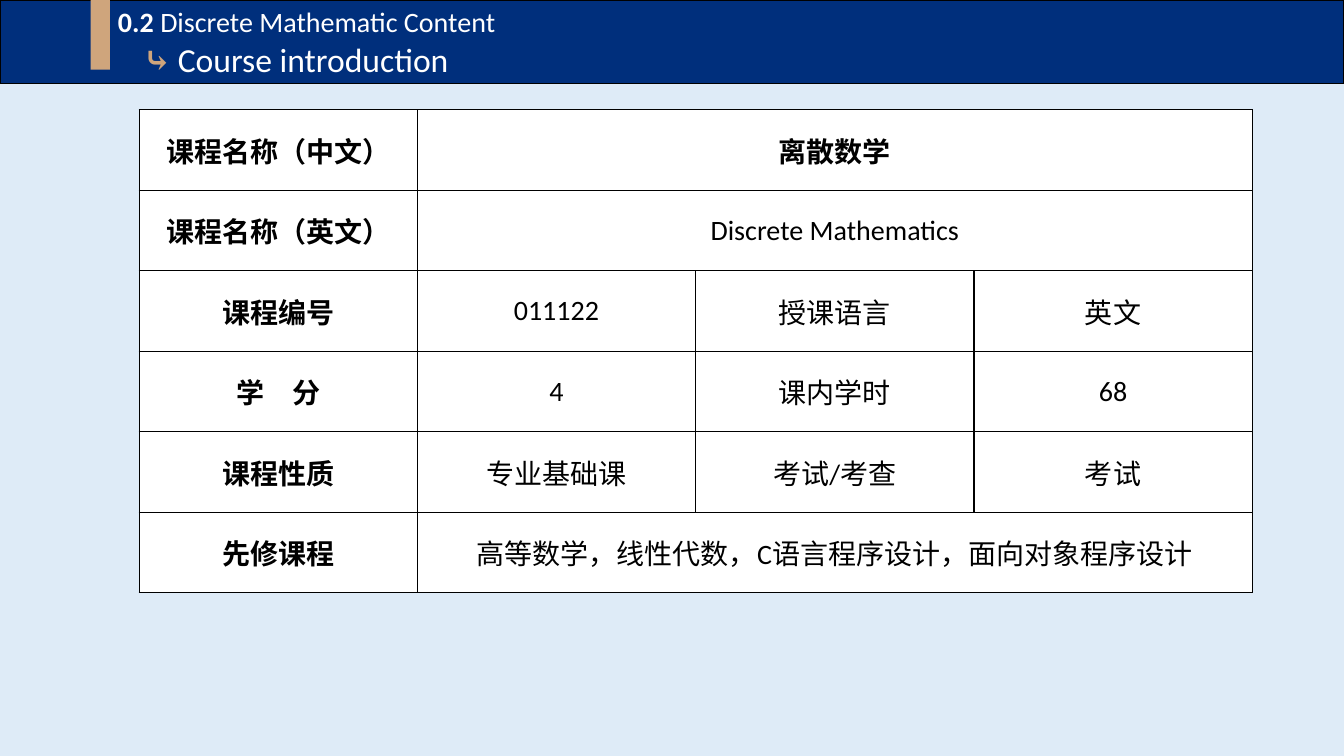
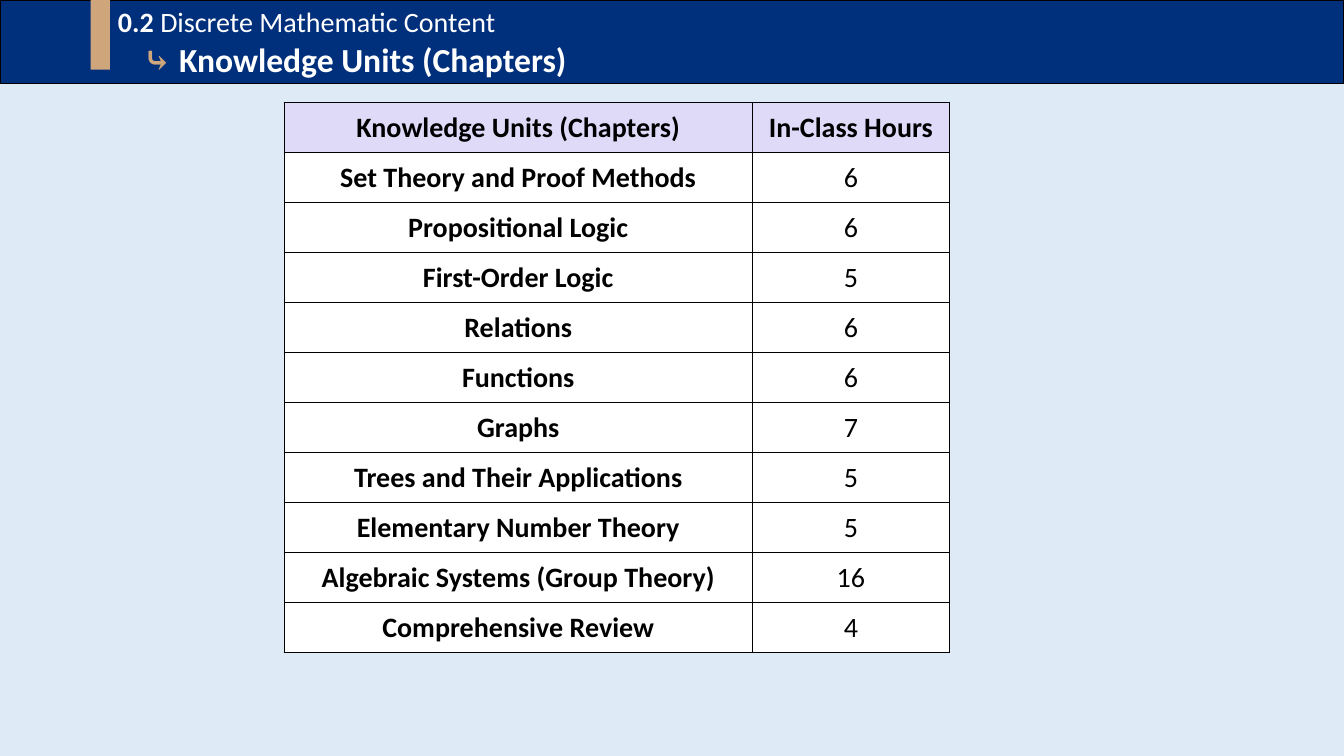
import lxml.etree
import pptx
import pptx.dml.color
import pptx.enum.text
import pptx.oxml.ns
import pptx.util
from pptx.util import Inches

NAVY, TAN, PALE_BLUE, LILAC = "002F7C", "CFA57C", "DEEBF7", "DEDAF8"
WHITE, BLACK = "FFFFFF", "000000"

COURSE_ROWS = [
    ["课程名称（中文）", "离散数学"],
    ["课程名称（英文）", "Discrete Mathematics"],
    ["课程编号", "011122", "授课语言", "英文"],
    ["学　分", "4", "课内学时", "68"],
    ["课程性质", "专业基础课", "考试/考查", "考试"],
    ["先修课程", "高等数学，线性代数，C语言程序设计，面向对象程序设计"],
]

CHAPTER_ROWS = [
    ["Knowledge Units (Chapters)", "In-Class Hours"],
    ["Set Theory and Proof Methods", "6"],
    ["Propositional Logic", "6"],
    ["First-Order Logic", "5"],
    ["Relations", "6"],
    ["Functions", "6"],
    ["Graphs", "7"],
    ["Trees and Their Applications", "5"],
    ["Elementary Number Theory", "5"],
    ["Algebraic Systems (Group Theory)", "16"],
    ["Comprehensive Review", "4"],
]


def color(value):
    return pptx.dml.color.RGBColor.from_string(value)


def paint(target, value):
    target.fill.solid()
    target.fill.fore_color.rgb = color(value)


def write(para, text, size=20, bold=False, fill=BLACK):
    span = para.add_run()
    span.text = text
    span.font.name = "Calibri"
    span.font.size = pptx.util.Pt(size)
    span.font.bold = bold
    span.font.color.rgb = color(fill)


def indent(para, left):
    para.alignment = pptx.enum.text.PP_ALIGN.LEFT
    para.line_spacing = 1.0
    properties = para._p.get_or_add_pPr()
    properties.set("marL", str(Inches(left)))
    properties.set("indent", "0")


def outline_cell(cell):
    properties = cell._tc.get_or_add_tcPr()
    for side in ("lnL", "lnR", "lnT", "lnB"):
        edge = lxml.etree.SubElement(
            properties, pptx.oxml.ns.qn(f"a:{side}"), w=str(pptx.util.Pt(1)))
        fill = lxml.etree.SubElement(edge, pptx.oxml.ns.qn("a:solidFill"))
        lxml.etree.SubElement(fill, pptx.oxml.ns.qn("a:srgbClr"), val=BLACK)


class CourseDeck:
    def __init__(self):
        self.deck = pptx.Presentation()
        self.deck.slide_width = Inches(13.33)
        self.deck.slide_height = Inches(7.5)
        paint(self.deck.slide_master.background, PALE_BLUE)
        self.page = None

    def add_page(self, topic, bold, gap_size):
        self.page = self.deck.slides.add_slide(self.deck.slide_layouts[5])
        self.add_title(topic, bold, gap_size)
        self.add_marker()

    def add_title(self, topic, bold, gap_size):
        band = self.page.shapes.title
        band.left, band.top = 0, 0
        band.width, band.height = self.deck.slide_width, Inches(0.83)
        paint(band, NAVY)
        band.line.color.rgb = color(BLACK)
        band.line.width = pptx.util.Pt(1)
        frame = band.text_frame
        frame.auto_size = pptx.enum.text.MSO_AUTO_SIZE.NONE
        frame.vertical_anchor = pptx.enum.text.MSO_ANCHOR.MIDDLE
        frame.margin_left = 0
        section = frame.paragraphs[0]
        indent(section, 1.17)
        write(section, "0.2 ", bold=True, fill=WHITE)
        write(section, "Discrete Mathematic Content", fill=WHITE)
        subject = frame.add_paragraph()
        indent(subject, 1.42)
        write(subject, "⤷", size=24, bold=True, fill=TAN)
        write(subject, " ", size=gap_size, bold=True, fill=WHITE)
        write(subject, topic, size=24, bold=bold, fill=WHITE)

    def add_marker(self):
        marker = self.page.shapes.add_shape(
            pptx.enum.shapes.MSO_SHAPE.RECTANGLE,
            Inches(0.9), 0, Inches(0.19), Inches(0.69))
        marker.shadow.inherit = False
        paint(marker, TAN)
        marker.line.fill.background()

    def add_table(self, rows, left, top, widths, height, header_fill=WHITE):
        table = self.page.shapes.add_table(
            len(rows), len(widths), Inches(left), Inches(top),
            Inches(sum(widths)), Inches(height)).table
        table.first_row = False
        table.horz_banding = False
        for column, width in zip(table.columns, widths):
            column.width = Inches(width)
        last = len(widths) - 1
        for r, texts in enumerate(rows):
            table.rows[r].height = Inches(height / len(rows))
            for c in range(len(widths)):
                outline_cell(table.cell(r, c))
                paint(table.cell(r, c), WHITE if r else header_fill)
            for c, text in enumerate(texts):
                self.fill_cell(table.cell(r, c), text, bold=r == 0 or c == 0)
            if len(texts) <= last:
                table.cell(r, len(texts) - 1).merge(table.cell(r, last))

    def fill_cell(self, cell, text, bold):
        cell.margin_left = cell.margin_right = Inches(0.07)
        cell.margin_top = cell.margin_bottom = 0
        cell.vertical_anchor = pptx.enum.text.MSO_ANCHOR.MIDDLE
        para = cell.text_frame.paragraphs[0]
        para.alignment = pptx.enum.text.PP_ALIGN.CENTER
        write(para, text, bold=bold)

    def save(self):
        self.deck.save("out.pptx")


def main():
    course = CourseDeck()
    course.add_page("Course introduction", bold=False, gap_size=20)
    course.add_table(COURSE_ROWS, 1.38, 1.09, [2.76] * 4, 4.79)
    course.add_page("Knowledge Units (Chapters)", bold=True, gap_size=24)
    course.add_table(CHAPTER_ROWS, 2.82, 1.02, [4.64, 1.96], 5.46,
                     header_fill=LILAC)
    course.save()


if __name__ == "__main__":
    main()
